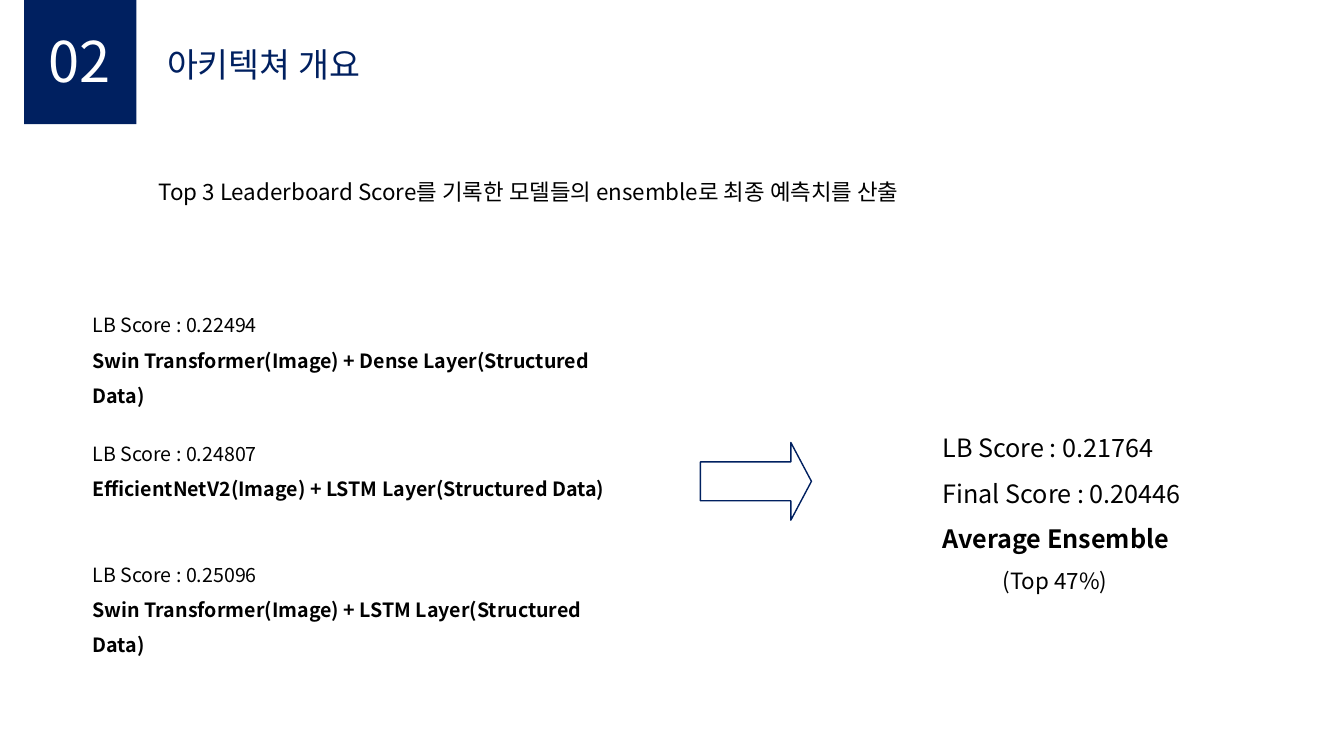
from lxml import etree
from pptx import Presentation
from pptx.dml.color import RGBColor
from pptx.enum.shapes import MSO_SHAPE
from pptx.enum.text import MSO_ANCHOR, MSO_AUTO_SIZE, PP_ALIGN
from pptx.oxml.ns import qn
from pptx.util import Cm, Pt

RECT, ARROW = MSO_SHAPE.RECTANGLE, MSO_SHAPE.RIGHT_ARROW
TOP, LEFT, FIXED = MSO_ANCHOR.TOP, PP_ALIGN.LEFT, MSO_AUTO_SIZE.NONE

THEME = {
    "font": "Noto Sans CJK KR",
    "navy": RGBColor(0x00, 0x20, 0x60),
    "white": RGBColor(0xFF, 0xFF, 0xFF),
    "black": RGBColor(0x00, 0x00, 0x00),
    "number": Pt(40), "title": Pt(24), "result": Pt(18),
    "lead": Pt(16), "model": Pt(14),
}


def place(shape, x, y, w, h):
    """Move a text shape and return its frame, ready to fill."""
    shape.left, shape.top, shape.width, shape.height = Cm(x), Cm(y), Cm(w), Cm(h)
    frame = shape.text_frame
    frame.word_wrap = True
    frame.auto_size = FIXED
    frame.vertical_anchor = TOP
    frame.margin_left = frame.margin_right = Cm(0.25)
    frame.margin_top = frame.margin_bottom = Cm(0.13)
    return frame


def write(frame, lines, color="black", gap=1.0, indent=0):
    """Write (text, size, bold) lines; indent applies to the last one."""
    for i, (text, size, bold) in enumerate(lines):
        para = frame.paragraphs[0] if i == 0 else frame.add_paragraph()
        props = para._p.get_or_add_pPr()
        props.set("marL", str(Cm(indent if i == len(lines) - 1 else 0)))
        props.set("indent", "0")
        etree.SubElement(props, qn("a:buNone"))
        para.alignment = LEFT
        para.line_spacing = gap
        para.space_before = Pt(0)
        run = para.add_run()
        run.text = text
        run.font.name = THEME["font"]
        run.font.size = THEME[size]
        run.font.bold = bold
        run.font.color.rgb = THEME[color]
        east = etree.SubElement(run._r.get_or_add_rPr(), qn("a:ea"))
        east.set("typeface", THEME["font"])


deck = Presentation()
deck.slide_width, deck.slide_height = Cm(33.87), Cm(19.05)
slide = deck.slides.add_slide(deck.slide_layouts[1])
shapes = slide.shapes

# Header: title and section number
frame = place(shapes.title, 3.96, 0.97, 21.13, 1.27)
write(frame, [("아키텍쳐 개요", "title", False)], "navy")

badge = shapes.add_shape(RECT, Cm(0.61), Cm(0), Cm(2.83), Cm(3.13))
badge.shadow.inherit = False
badge.fill.solid()
badge.fill.fore_color.rgb = THEME["navy"]
badge.line.fill.background()

frame = place(shapes.add_textbox(0, 0, 0, 0), 0.97, 0.53, 2.44, 1.96)
write(frame, [("02", "number", False)], "white")

# Lead sentence
frame = place(shapes.add_textbox(0, 0, 0, 0), 3.75, 4.37, 21.77, 0.94)
lead = "Top 3 Leaderboard Score를 기록한 모델들의 ensemble로 최종 예측치를 산출"
write(frame, [(lead, "lead", False)])

# The three models
MODELS = [
    (7.47, "0.22494", "Swin Transformer(Image) + Dense Layer"),
    (10.7, "0.24807", "EfficientNetV2(Image) + LSTM Layer"),
    (13.75, "0.25096", "Swin Transformer(Image) + LSTM Layer"),
]
for y, score, model in MODELS:
    frame = place(shapes.add_textbox(0, 0, 0, 0), 2.08, y, 13.75, 2.87)
    write(frame, [
        (f"LB Score : {score}", "model", False),
        (f"{model}(Structured Data)", "model", True),
    ], gap=1.5)

# Arrow to the ensemble
arrow = shapes.add_shape(ARROW, Cm(17.65), Cm(11.15), Cm(2.8), Cm(1.96))
arrow.adjustments[0], arrow.adjustments[1] = 0.5, 0.265
arrow.shadow.inherit = False
arrow.fill.background()
arrow.line.color.rgb = THEME["navy"]
arrow.line.width = Pt(1)

# Ensemble result
frame = place(slide.placeholders[1], 23.5, 10.39, 7.06, 4.75)
write(frame, [
    ("LB Score : 0.21764", "result", False),
    ("Final Score : 0.20446", "result", False),
    ("Average Ensemble", "result", True),
    ("(Top 47%)", "lead", False),
], gap=1.5, indent=1.52)

deck.save("out.pptx")
